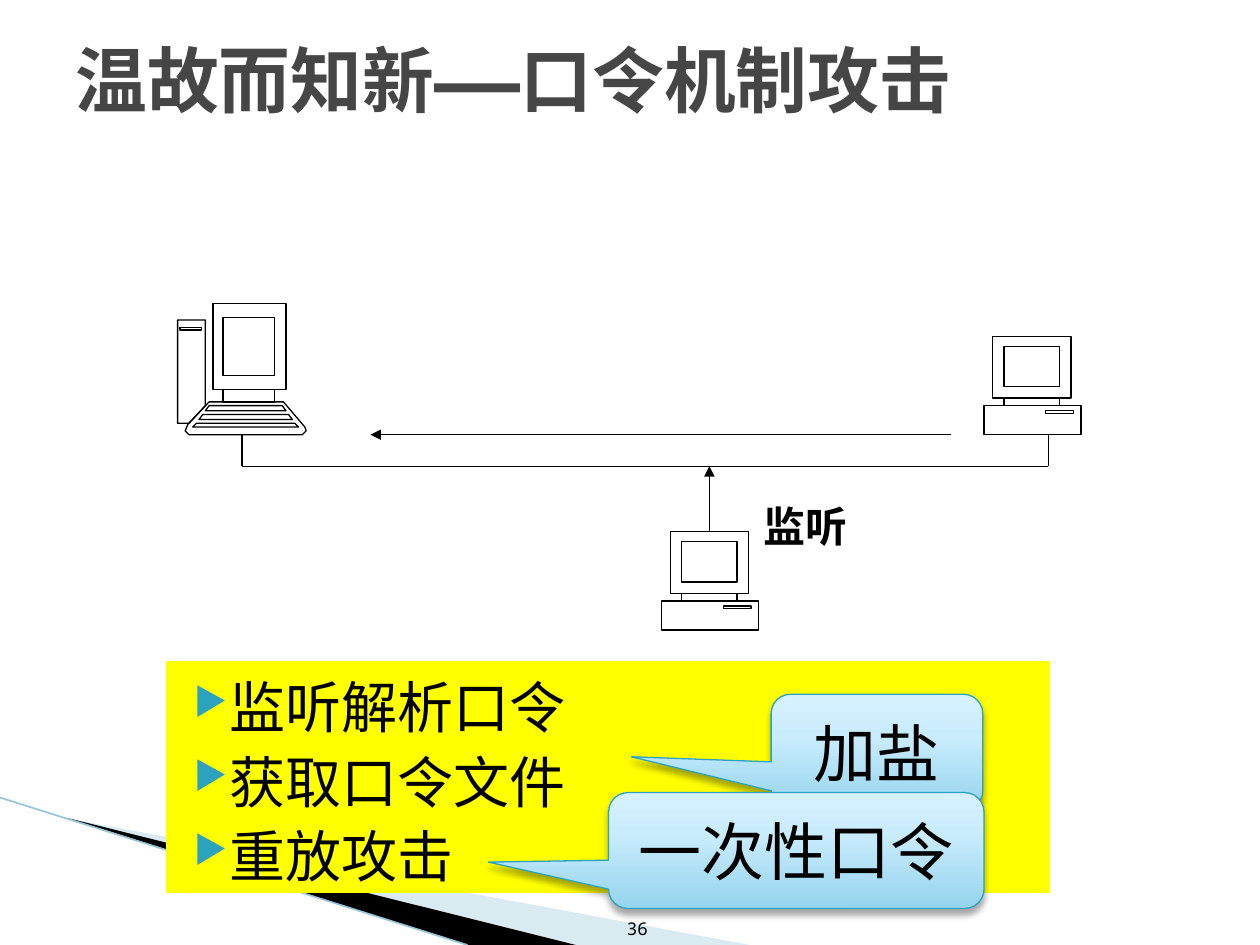
from copy import deepcopy
from dataclasses import dataclass

from lxml import etree
from pptx import Presentation
from pptx.dml.color import RGBColor
from pptx.enum.shapes import MSO_CONNECTOR, MSO_SHAPE
from pptx.enum.text import MSO_ANCHOR, PP_ALIGN
from pptx.oxml.ns import qn
from pptx.util import Emu, Pt

PX = 9144  # 100 px to the inch
STRAIGHT = MSO_CONNECTOR.STRAIGHT
RECTANGLE = MSO_SHAPE.RECTANGLE
CALLOUT = MSO_SHAPE.ROUNDED_RECTANGULAR_CALLOUT
TOP, MIDDLE, BOTTOM = MSO_ANCHOR.TOP, MSO_ANCHOR.MIDDLE, MSO_ANCHOR.BOTTOM
LEFT, CENTER, RIGHT, JUSTIFY = PP_ALIGN.LEFT, PP_ALIGN.CENTER, PP_ALIGN.RIGHT, PP_ALIGN.JUSTIFY
MONO, CJK = "Noto Sans Mono", "Noto Sans CJK SC"
COLORS = {
    "black": "000000", "white": "FFFFFF", "title": "464646", "yellow": "FFFF00",
    "teal": "2DA2BF", "swoosh": "A0CBDC", "edge": "97C5D8",
}
CALLOUT_STOPS = [(0, "96D4EE"), (0.65, "C9ECFC"), (1, "D7F2FF")]

Point = tuple[int, int]
Contour = list[Point]


@dataclass
class Box:
    left: int
    top: int
    width: int
    height: int

    def emu(self) -> list[Emu]:
        return [Emu(n * PX) for n in (self.left, self.top, self.width, self.height)]


@dataclass
class Wire:
    start: Point
    end: Point
    arrow: bool = False


@dataclass
class Callout:
    text: str
    box: Box
    tip_x: float
    tip_y: float


def rgb(name: str) -> RGBColor:
    return RGBColor.from_string(COLORS[name])


def child(parent, tag: str, **attributes: str):
    return etree.SubElement(parent, qn(tag), attributes)


def rectangle(left: int, top: int, right: int, bottom: int) -> Contour:
    return [(left, top), (right, top), (right, bottom), (left, bottom)]


def set_font(run, size: int, color: str, font: str, bold: bool = False) -> None:
    run.font.size, run.font.bold, run.font.name = Pt(size), bold, font
    run.font.color.rgb = rgb(color)
    child(run.font._element, "a:ea", typeface=font)


def set_frame(shape, anchor, align, margins: Box | None = None) -> None:
    frame = shape.text_frame
    frame.word_wrap, frame.vertical_anchor = True, anchor
    if margins:
        (frame.margin_left, frame.margin_top,
         frame.margin_right, frame.margin_bottom) = margins.emu()
    for paragraph in frame.paragraphs:
        paragraph.alignment = align


def set_outline(shape, color: str, width: float = 0.75) -> None:
    shape.line.color.rgb = rgb(color)
    shape.line.width = Pt(width)


def add_outline_shape(slide, contours: list[Contour]):
    """One freeform holding several closed contours."""
    first, *others = contours
    builder = slide.shapes.build_freeform(*first[0], scale=PX)
    builder.add_line_segments(first[1:], close=True)
    for contour in others:
        builder.move_to(*contour[0])
        builder.add_line_segments(contour[1:], close=True)
    shape = builder.convert_to_shape()
    shape.shadow.inherit = False
    return shape


def add_computer(slide, contours: list[Contour]) -> None:
    shape = add_outline_shape(slide, contours)
    shape.fill.background()
    set_outline(shape, "black")


def small_computer(x: int, y: int) -> list[Contour]:
    parts = [(7, 0, 69, 49), (16, 8, 60, 40), (16, 49, 60, 55), (0, 55, 77, 78), (49, 59, 71, 61)]
    return [rectangle(x + a, y + b, x + c, y + d) for a, b, c, d in parts]


def desktop_computer() -> list[Contour]:
    tower = [(163, 322), (163, 254), (141, 254), (141, 336), (150, 336)]
    keyboard = [(166, 319), (225, 319), (242, 339), (243, 342), (240, 345),
                (150, 345), (147, 342), (149, 337)]
    rows = [[(163 - 5 * i, 326 + 7 * i - i // 2), (166 - 5 * i, 322 + 7 * i),
             (224 + 5 * i, 322 + 7 * i), (227 + 5 * i, 326 + 7 * i - i // 2)] for i in range(3)]
    monitor = [rectangle(169, 241, 227, 309), rectangle(177, 252, 218, 298),
               rectangle(177, 309, 218, 319), rectangle(143, 260, 160, 262)]
    return [tower, keyboard, *rows, *monitor]


def add_wire(slide, wire: Wire, color: str = "black", width: float = 0.75) -> None:
    ends = [Emu(n * PX) for n in (*wire.start, *wire.end)]
    connector = slide.shapes.add_connector(STRAIGHT, *ends)
    set_outline(connector, color, width)
    if wire.arrow:
        child(connector.line._get_or_add_ln(), "a:tailEnd", type="triangle")
    child(connector._element.spPr, "a:effectLst")


def add_box(slide, box: Box, fill: str):
    shape = slide.shapes.add_shape(RECTANGLE, *box.emu())
    shape.shadow.inherit = False
    shape.fill.solid()
    shape.fill.fore_color.rgb = rgb(fill)
    shape.line.fill.background()
    return shape


def add_callout(slide, callout: Callout) -> None:
    shape = slide.shapes.add_shape(CALLOUT, *callout.box.emu())
    for index, value in enumerate((callout.tip_x, callout.tip_y, 0.167)):
        shape.adjustments[index] = value
    shape.fill.gradient()
    shape.fill.gradient_angle = 90
    stop_list = shape._element.spPr.find(qn("a:gradFill")).find(qn("a:gsLst"))
    stop_list.append(deepcopy(stop_list[-1]))
    for stop, (position, color) in zip(shape.fill.gradient_stops, CALLOUT_STOPS):
        stop.position = position
        stop.color.rgb = RGBColor.from_string(color)
    set_outline(shape, "teal")
    shape.shadow.inherit = False
    effects = shape._element.spPr.find(qn("a:effectLst"))
    shadow = child(effects, "a:outerShdw", blurRad=str(Pt(4)), dist=str(Pt(3)),
                   dir="5400000", rotWithShape="0")
    child(child(shadow, "a:srgbClr", val=COLORS["black"]), "a:alpha", val="35000")
    shape.text_frame.text = callout.text
    set_frame(shape, MIDDLE, CENTER)
    set_font(shape.text_frame.paragraphs[0].runs[0], 36, "black", MONO)


def add_background(slide) -> None:
    swooshes = [([(55, 650), (595, 750), (456, 750)], "swoosh"),
                ([(53, 649), (457, 750), (372, 750)], "black")]
    for contour, color in swooshes:
        shape = add_outline_shape(slide, [contour])
        shape.fill.solid()
        shape.fill.fore_color.rgb = rgb(color)
        shape.line.fill.background()
        if color == "swoosh":
            child(shape._element.spPr.find(qn("a:solidFill"))[0], "a:alpha", val="40000")
    add_wire(slide, Wire((0, 633), (371, 750)), "edge", 0.95)


def add_title_and_number(slide) -> None:
    title = slide.shapes.add_textbox(*Box(50, 0, 900, 125).emu())
    paragraph = title.text_frame.paragraphs[0]
    for text, font in (("温故而知新——", MONO), ("口令机制攻击", CJK)):
        run = paragraph.add_run()
        run.text = text
        set_font(run, 41, "title", font, bold=True)
    set_frame(title, MIDDLE, LEFT)
    number = slide.shapes.add_textbox(*Box(468, 701, 56, 49).emu())
    number.text_frame.text = "36"
    set_frame(number, BOTTOM, RIGHT)
    set_font(number.text_frame.paragraphs[0].runs[0], 10, "black", MONO)


def add_attack_list(slide, attacks: list[str]) -> None:
    shape = add_box(slide, Box(132, 525, 701, 183), "yellow")
    set_outline(shape, "yellow")
    shape.text_frame.text = "\n".join(attacks)
    set_frame(shape, TOP, JUSTIFY, Box(10, 9, 10, 5))
    for index, paragraph in enumerate(shape.text_frame.paragraphs):
        properties = paragraph._p.get_or_add_pPr()
        properties.set("marL", str(40 * PX))
        properties.set("indent", str(-28 * PX))
        child(child(properties, "a:buClr"), "a:srgbClr", val=COLORS["teal"])
        child(properties, "a:buSzPct", val="68000")
        child(properties, "a:buChar", char="▶")
        paragraph.line_spacing = Pt(38.4)
        paragraph.space_before = Pt(4 if index else 0)
        set_font(paragraph.runs[0], 32, "black", CJK)


def main() -> None:
    presentation = Presentation()
    presentation.slide_width, presentation.slide_height = Emu(1000 * PX), Emu(750 * PX)
    slide = presentation.slides.add_slide(presentation.slide_layouts[6])
    add_background(slide)
    add_title_and_number(slide)
    label = add_box(slide, Box(601, 396, 77, 52), "white")
    label.text_frame.text = "监听"
    set_frame(label, TOP, CENTER, Box(2, 1, 2, 1))
    set_font(label.text_frame.paragraphs[0].runs[0], 24, "black", CJK, bold=True)
    for contours in (small_computer(781, 267), desktop_computer(), small_computer(525, 422)):
        add_computer(slide, contours)
    for wire in (Wire((192, 345), (192, 370)), Wire((832, 345), (832, 370)),
                 Wire((192, 370), (832, 370)), Wire((563, 422), (563, 370), arrow=True),
                 Wire((755, 345), (294, 345), arrow=True)):
        add_wire(slide, wire)
    add_attack_list(slide, ["监听解析口令", "获取口令文件", "重放攻击"])
    add_callout(slide, Callout("加盐", Box(612, 551, 168, 92), -1.16, 0.04))
    add_callout(slide, Callout("一次性口令", Box(483, 629, 298, 92), -0.82, 0.1))
    presentation.save("out.pptx")


if __name__ == "__main__":
    main()
